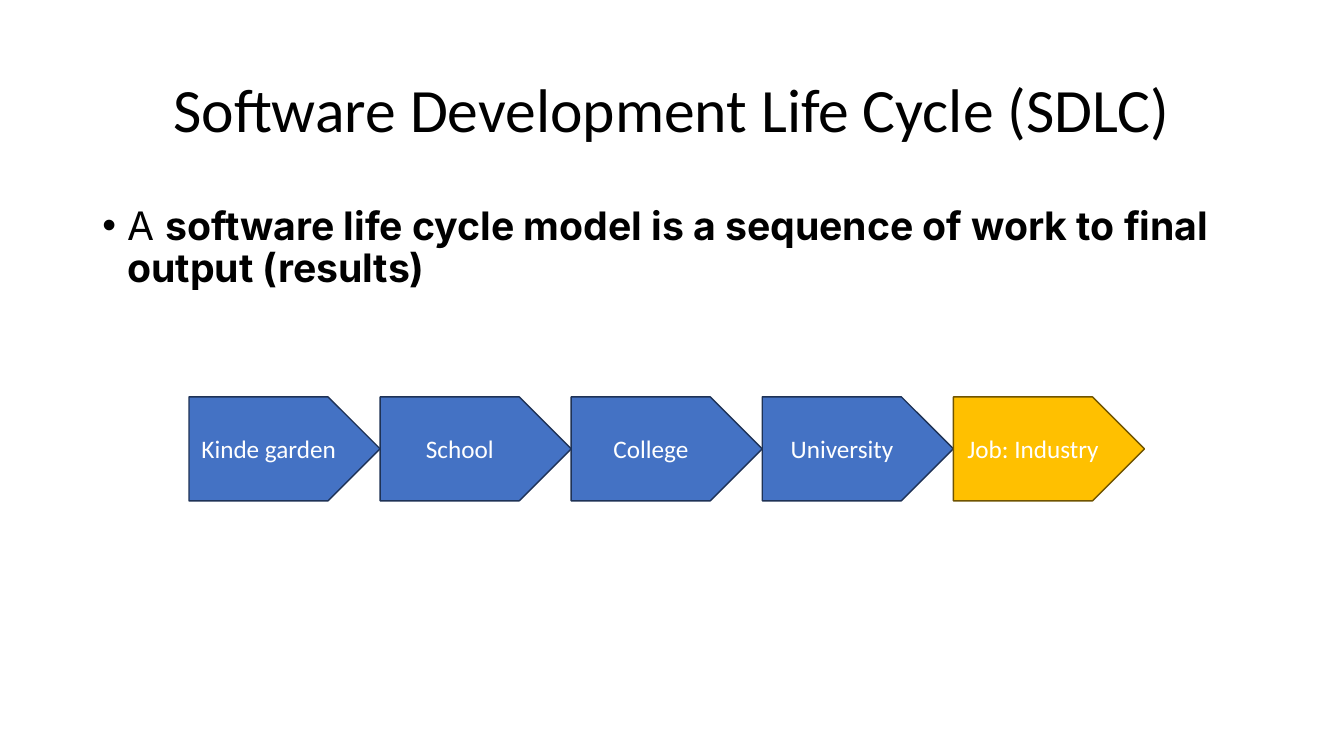
"""Build a slide that introduces the software development life cycle."""
from lxml import etree
from pptx import Presentation
from pptx import util as u
from pptx.dml.color import RGBColor
from pptx.enum import shapes, text
from pptx.oxml.ns import qn

PX = 9525
COLORS = {
    "ink": "000000",
    "white": "FFFFFF",
    "study": "4472C4",
    "study_edge": "1E3256",
    "job": "FFC000",
    "job_edge": "705400",
}


def write(shape, runs, size, font="Calibri", color="ink", align=text.PP_ALIGN.CENTER,
          anchor=text.MSO_ANCHOR.MIDDLE, line_spacing=1.0, before=0):
    frame = shape.text_frame
    frame.word_wrap = True
    frame.vertical_anchor = anchor
    paragraph = frame.paragraphs[0]
    paragraph.alignment = align
    paragraph.line_spacing = line_spacing
    paragraph.space_before = u.Pt(before)
    for wording, bold in runs:
        run = paragraph.add_run()
        run.text = wording
        run.font.name = font
        run.font.size = u.Pt(size)
        run.font.bold = bold
        run.font.color.rgb = RGBColor.from_string(COLORS[color])
    return paragraph


deck = Presentation()
deck.slide_width = 1280 * PX
deck.slide_height = 720 * PX
slide = deck.slides.add_slide(deck.slide_layouts[6])

title = slide.shapes.add_textbox(88 * PX, 38 * PX, 1104 * PX, 139 * PX)
write(title, [("Software Development Life Cycle (SDLC)", False)], 44, line_spacing=0.9)

definition = slide.shapes.add_textbox(88 * PX, 192 * PX, 1104 * PX, 457 * PX)
sentence = write(
    definition,
    [("A ", False),
     ("software life cycle model is a sequence of work to final output (results)", True)],
    28, font="Inter", align=text.PP_ALIGN.LEFT, anchor=text.MSO_ANCHOR.TOP,
    line_spacing=0.9, before=10)
bullet = sentence._p.get_or_add_pPr()
bullet.set("marL", str(24 * PX))
bullet.set("indent", str(-24 * PX))
etree.SubElement(bullet, qn("a:buFont")).set("typeface", "Arial")
etree.SubElement(bullet, qn("a:buChar")).set("char", "•")

stages = [
    ("Kinde garden ", "study"),
    ("School ", "study"),
    ("College ", "study"),
    ("University ", "study"),
    ("Job: Industry ", "job"),
]
stage_width = 182
for position, (label, kind) in enumerate(stages):
    stage = slide.shapes.add_shape(
        shapes.MSO_SHAPE.PENTAGON, (180 + position * stage_width) * PX, 378 * PX,
        stage_width * PX, 99 * PX)
    stage.shadow.inherit = False
    stage.fill.solid()
    stage.fill.fore_color.rgb = RGBColor.from_string(COLORS[kind])
    stage.line.color.rgb = RGBColor.from_string(COLORS[f"{kind}_edge"])
    stage.line.width = u.Pt(1)
    write(stage, [(label, False)], 18, color="white")

deck.save("out.pptx")
